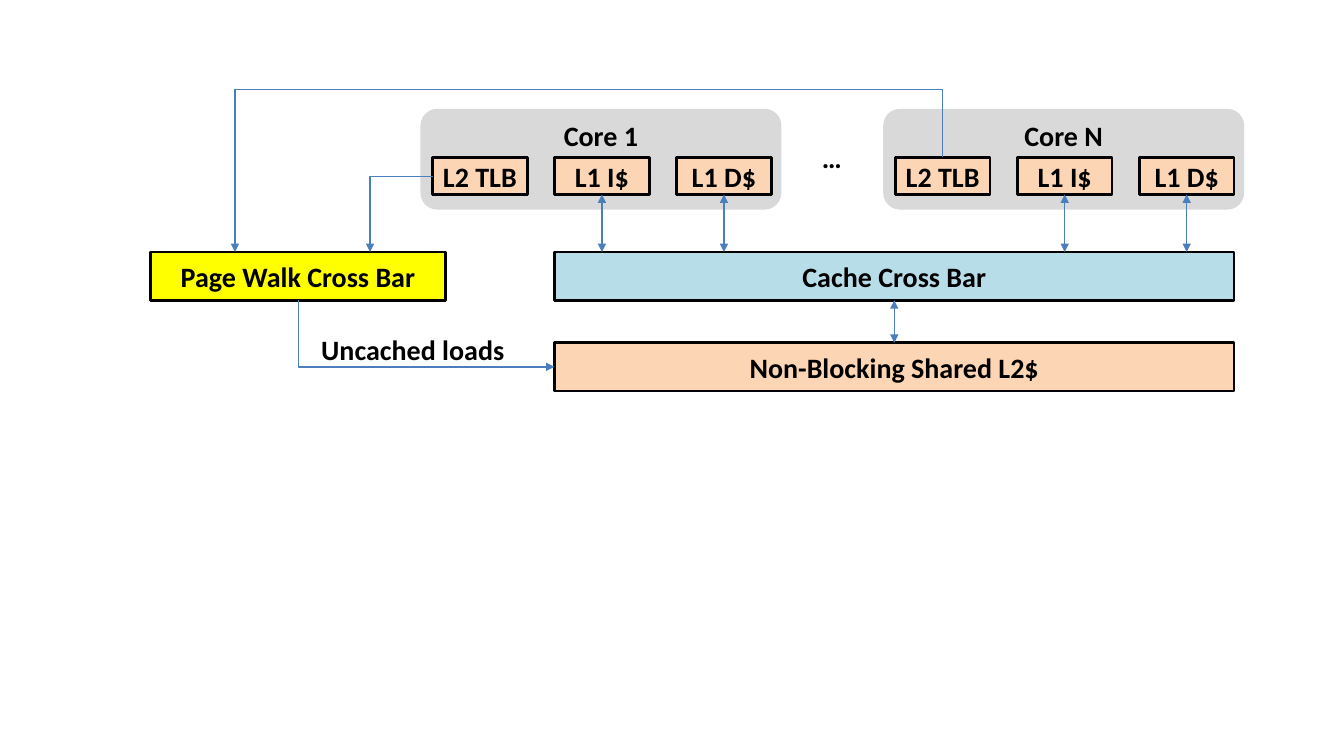
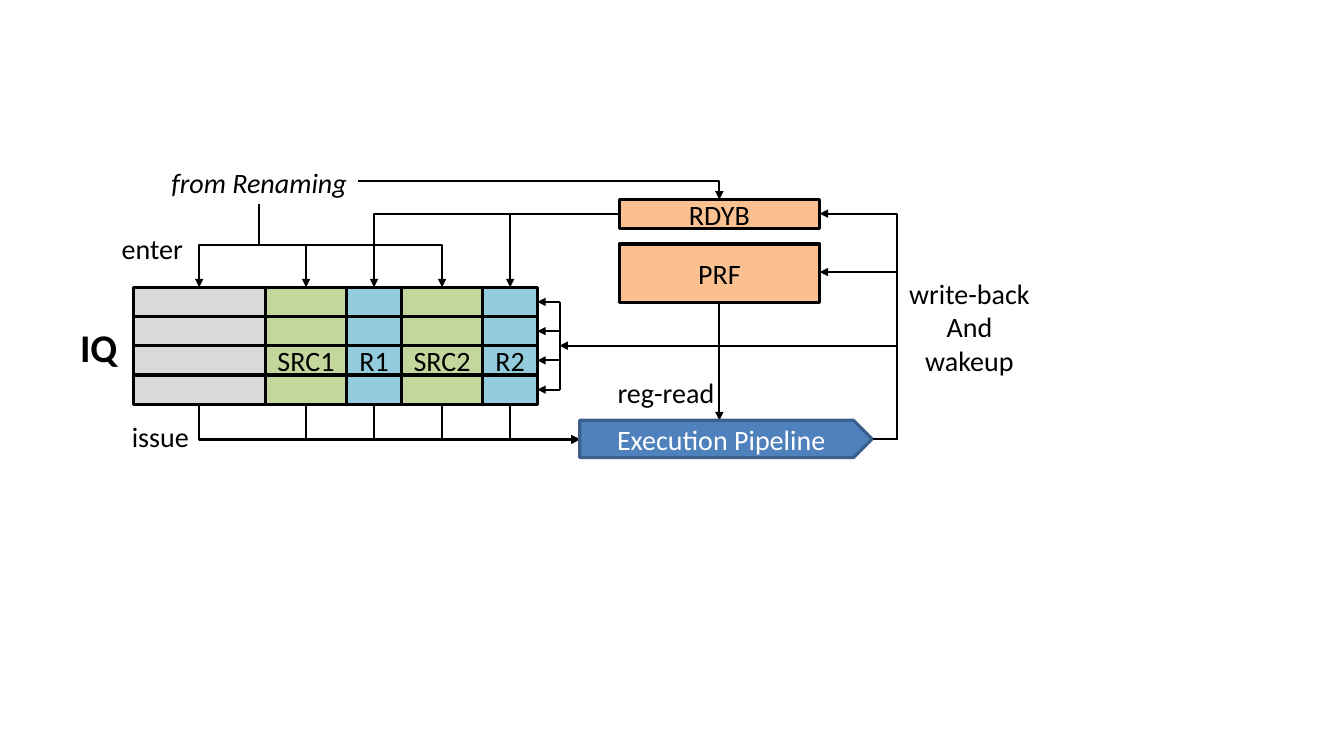
"""Draw two processor block diagrams: shared cache hierarchy and issue queue."""
from dataclasses import dataclass
from itertools import accumulate

from lxml import etree
from pptx import Presentation
from pptx.dml.color import RGBColor
from pptx.enum import shapes, text
from pptx.oxml.ns import qn
from pptx.util import Inches, Pt

SHAPE = shapes.MSO_SHAPE
ANCHOR = text.MSO_ANCHOR
ALIGN = text.PP_ALIGN


@dataclass(frozen=True)
class Theme:
    font: str = "Calibri"
    body_size: float = 20
    heading_size: float = 28
    black: str = "000000"
    white: str = "FFFFFF"
    gray: str = "D9D9D9"
    peach: str = "FCD5B5"
    orange: str = "FAC090"
    pale_blue: str = "B7DEE8"
    sky: str = "93CDDD"
    green: str = "C3D69B"
    yellow: str = "FFFF00"
    blue: str = "4F81BD"
    dark_blue: str = "3A5F8C"
    wire_blue: str = "4B7EBC"


THEME = Theme()


def write_text(frame, content, *, size=THEME.body_size, color=THEME.black,
               bold=False, italic=False, align=ALIGN.CENTER):
    for index, line in enumerate(content.split("\n")):
        para = frame.paragraphs[0] if index == 0 else frame.add_paragraph()
        para.alignment = align
        span = para.add_run()
        span.text = line
        span.font.name = THEME.font
        span.font.size = Pt(size)
        span.font.bold = bold
        span.font.italic = italic
        span.font.color.rgb = RGBColor.from_string(color)


class Diagram:
    def __init__(self, deck, *, wire_color, wire_width, outline_width):
        self.page = deck.slides.add_slide(deck.slide_layouts[6])
        self.wire_color = wire_color
        self.wire_width = wire_width
        self.outline_width = outline_width

    def box(self, left, top, width, height, fill, content="", *, kind=SHAPE.RECTANGLE,
            outline=THEME.black, anchor=ANCHOR.MIDDLE, **style):
        box = self.page.shapes.add_shape(
            kind, Inches(left), Inches(top), Inches(width), Inches(height))
        box.shadow.inherit = False
        box.fill.solid()
        box.fill.fore_color.rgb = RGBColor.from_string(fill)
        if outline:
            box.line.color.rgb = RGBColor.from_string(outline)
            box.line.width = Pt(self.outline_width)
        else:
            box.line.fill.background()
        if content:
            frame = box.text_frame
            frame.margin_left = frame.margin_right = 0
            frame.vertical_anchor = anchor
            write_text(frame, content, **style)
        return box

    def label(self, left, top, width, height, content, **style):
        label = self.page.shapes.add_textbox(
            Inches(left), Inches(top), Inches(width), Inches(height))
        label.text_frame.word_wrap = True
        label.text_frame.margin_left = label.text_frame.margin_right = 0
        write_text(label.text_frame, content, **style)

    def finish_wire(self, wire, head, tail):
        wire.line.color.rgb = RGBColor.from_string(self.wire_color)
        wire.line.width = Pt(self.wire_width)
        properties = wire._element.spPr
        outline = properties.find(qn("a:ln"))
        for tag, shown in (("a:headEnd", head), ("a:tailEnd", tail)):
            if shown:
                etree.SubElement(outline, qn(tag), type="triangle")
        etree.SubElement(properties, qn("a:effectLst"))

    def wire(self, start, end, *, head=False, tail=True, begin=None, finish=None):
        wire = self.page.shapes.add_connector(
            shapes.MSO_CONNECTOR.STRAIGHT, *map(Inches, (*start, *end)))
        if begin:
            wire.begin_connect(*begin)
        if finish:
            wire.end_connect(*finish)
        self.finish_wire(wire, head, tail)

    def elbow(self, *points):
        (x0, y0), (x1, y1), (x2, y2) = points[0], points[1], points[-1]
        dx, dy = x2 - x0, y2 - y0
        vertical = x0 == x1
        if vertical:
            turn, flip_h, flip_v = (270, 1, 0) if dx > 0 else (90, 0, 0)
            width, height, bend = abs(dy), abs(dx), (y1 - y0) / dy
        else:
            turn, flip_h, flip_v = (
                (0, 0, 0) if dx > 0 else (180, 0, 1) if dy > 0 else (0, 1, 1))
            width, height, bend = abs(dx), abs(dy), (x1 - x0) / dx
        left, top = (x0 + x2 - width) / 2, (y0 + y2 - height) / 2
        wire = self.page.shapes.add_connector(
            shapes.MSO_CONNECTOR.ELBOW,
            *map(Inches, (left, top, left + width, top + height)))
        properties = wire._element.spPr
        frame = properties.find(qn("a:xfrm"))
        for name, value in (("rot", turn * 60000), ("flipH", flip_h), ("flipV", flip_v)):
            if value:
                frame.set(name, str(value))
        geometry = properties.find(qn("a:prstGeom"))
        geometry.set("prst", f"bentConnector{len(points) - 1}")
        if len(points) == 4:
            guides = geometry.find(qn("a:avLst"))
            etree.SubElement(guides, qn("a:gd"), name="adj1",
                             fmla=f"val {round(bend * 100000)}")
        self.finish_wire(wire, False, True)


def draw_cache_hierarchy(deck):
    diagram = Diagram(deck, wire_color=THEME.wire_blue, wire_width=1, outline_width=2)
    tile_top, tile_width, tile_height, tile_pitch = 1.56, 0.94, 0.37, 1.21
    bar_left, bar_width, bar_height = 5.5, 6.74, 0.48
    cache_top, shared_top = 2.5, 3.4
    tile_bottom = tile_top + tile_height

    caches = []
    for name, first_left in (("Core 1", 4.29), ("Core N", 8.88)):
        diagram.box(first_left - 0.12, 1.08, 3.58, 1, THEME.gray, name, bold=True,
                    kind=SHAPE.ROUNDED_RECTANGLE, outline=None, anchor=ANCHOR.TOP)
        for index, unit in enumerate(("L2 TLB", "L1 I$", "L1 D$")):
            left = first_left + index * tile_pitch
            tile = diagram.box(left, tile_top, tile_width, tile_height,
                               THEME.peach, unit, bold=True)
            if index:
                caches.append((tile, left + tile_width / 2))
    diagram.label(8.05, 1.34, 0.4, 0.44, "…", bold=True)

    cache_bar = diagram.box(bar_left, cache_top, bar_width, bar_height,
                            THEME.pale_blue, "Cache Cross Bar", bold=True)
    shared = diagram.box(bar_left, shared_top, bar_width, bar_height,
                         THEME.peach, "Non-Blocking Shared L2$", bold=True)
    diagram.box(1.49, cache_top, 2.93, bar_height, THEME.yellow,
                "Page Walk Cross Bar", bold=True)

    for tile, center in caches:
        diagram.wire((center, tile_bottom), (center, cache_top), head=True,
                     begin=(tile, 2))
    middle = bar_left + bar_width / 2
    diagram.wire((middle, cache_top + bar_height), (middle, shared_top), head=True,
                 begin=(cache_bar, 2), finish=(shared, 0))
    diagram.elbow((9.35, tile_top), (9.35, 0.89), (2.33, 0.89), (2.33, cache_top))
    diagram.elbow((4.29, 1.75), (3.67, 1.75), (3.67, cache_top))
    diagram.elbow((2.96, cache_top + bar_height), (2.96, 3.64), (bar_left, 3.64))
    diagram.label(3.08, 3.25, 2.03, 0.44, "Uncached loads", bold=True)


def draw_issue_queue(deck):
    diagram = Diagram(deck, wire_color=THEME.black, wire_width=1.5, outline_width=2.25)
    queue_top, row_height, row_count, named_row = 2.85, 0.29, 4, 2
    queue_bottom = queue_top + row_count * row_height
    columns = (("", 1.31, THEME.gray), ("SRC1", 0.81, THEME.green),
               ("R1", 0.54, THEME.sky), ("SRC2", 0.81, THEME.green),
               ("R2", 0.54, THEME.sky))
    edges = list(accumulate((width for _, width, _ in columns), initial=1.32))
    centers = [(left + right) / 2 for left, right in zip(edges, edges[1:])]
    row_centers = [queue_top + (row + 0.5) * row_height for row in range(row_count)]

    for (name, width, fill), left in zip(columns, edges):
        cells = [diagram.box(left, queue_top + row * row_height, width, row_height,
                             fill, name if row == named_row else "")
                 for row in range(row_count)]

    block_left, block_width = 6.14, 1.99
    block_right, block_center = block_left + block_width, block_left + block_width / 2
    diagram.box(block_left, 1.98, block_width, 0.29, THEME.orange, "RDYB")
    registers = diagram.box(block_left, 2.42, block_width, 0.58, THEME.orange, "PRF")
    pipe_left, pipe_right, pipe_middle = 5.75, 8.65, 4.36
    ready_middle, wakeup_x, wakeup_y, return_x = 2.12, 5.55, 3.43, 8.9

    for x in centers:
        diagram.elbow((x, queue_bottom), (x, pipe_middle), (pipe_left, pipe_middle))
    for x in (centers[2], centers[4]):
        diagram.elbow((block_left, ready_middle), (x, ready_middle), (x, queue_top))
    for x in (centers[0], centers[1], centers[3]):
        diagram.elbow((2.57, 2.02), (2.57, 2.43), (x, 2.43), (x, queue_top))
    for x, y in ((block_right, 2.7), (block_right, ready_middle), (wakeup_x, wakeup_y)):
        diagram.elbow((pipe_right, pipe_middle), (return_x, pipe_middle),
                      (return_x, y), (x, y))
    diagram.elbow((3.55, 1.8), (block_center, 1.8), (block_center, 1.98))

    diagram.wire((wakeup_x, row_centers[0]), (wakeup_x, row_centers[-1]), tail=False)
    for cell, y in zip(cells, row_centers):
        diagram.wire((wakeup_x, y), (edges[-1], y), finish=(cell, 3))
    diagram.wire((block_center, 3), (block_center, 4.17), begin=(registers, 2))
    diagram.box(pipe_left, 4.17, pipe_right - pipe_left, 0.37, THEME.blue,
                "Execution Pipeline", kind=SHAPE.PENTAGON, outline=THEME.dark_blue,
                color=THEME.white)

    diagram.label(0.26, 3.16, 1.44, 0.57, "IQ", size=THEME.heading_size, bold=True)
    diagram.label(1.2, 4.11, 0.78, 0.44, "issue")
    diagram.label(1.1, 2.25, 0.82, 0.44, "enter")
    diagram.label(1.59, 1.59, 1.96, 0.44, "from Renaming", italic=True)
    diagram.label(6.02, 3.68, 1.17, 0.44, "reg-read")
    diagram.label(8.91, 2.69, 1.41, 1.11, "write-back\nAnd\nwakeup")


def main():
    deck = Presentation()
    deck.slide_width, deck.slide_height = Inches(13.33), Inches(7.5)
    draw_cache_hierarchy(deck)
    draw_issue_queue(deck)
    deck.save("out.pptx")


if __name__ == "__main__":
    main()
